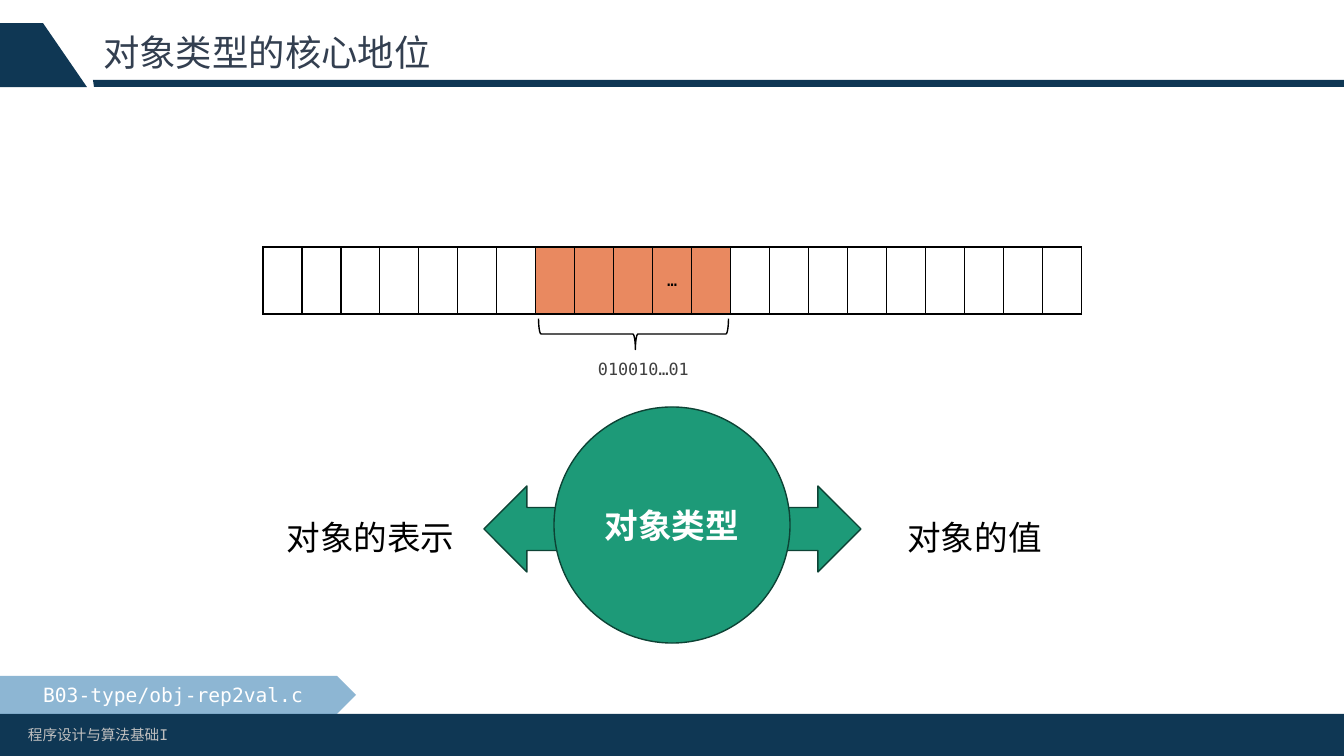
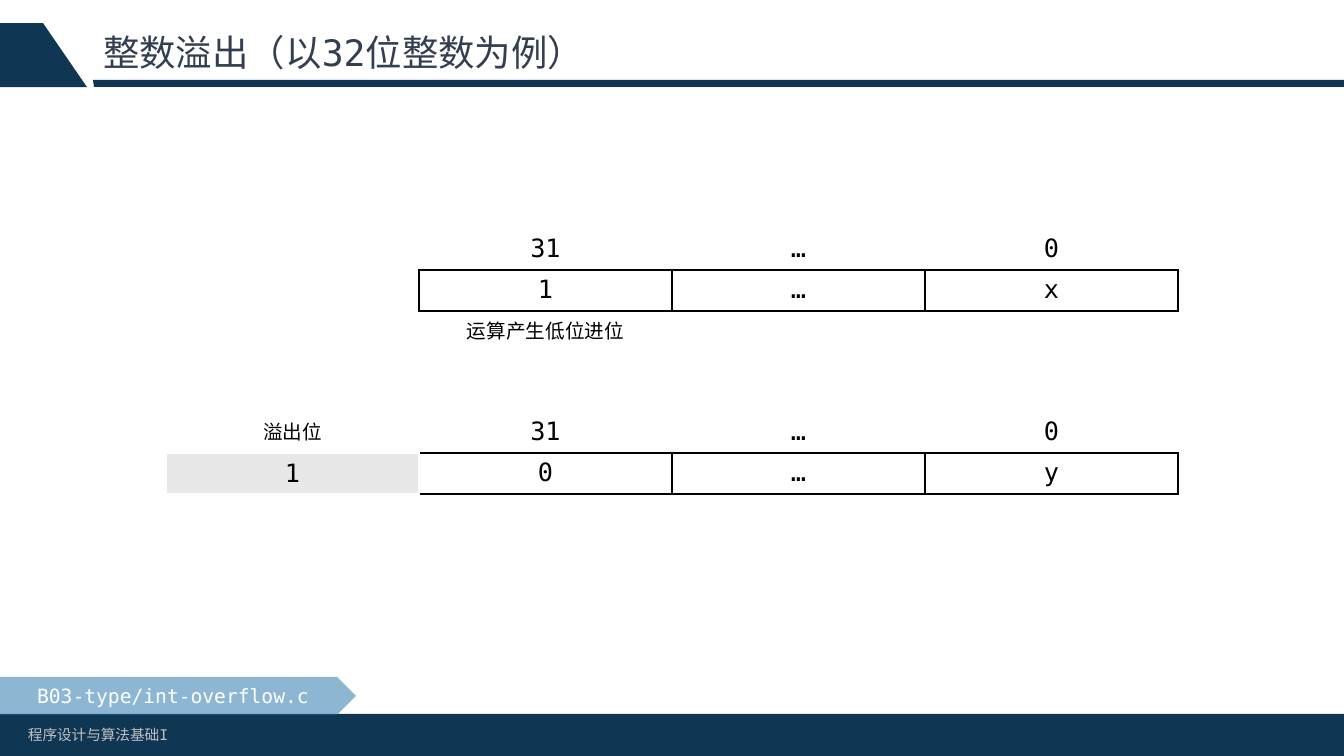
from lxml.etree import SubElement
from pptx import Presentation
from pptx.dml.color import RGBColor
from pptx.enum.shapes import MSO_SHAPE
from pptx.enum.text import MSO_ANCHOR, MSO_AUTO_SIZE, PP_ALIGN
from pptx.oxml import parse_xml
from pptx.oxml.ns import nsdecls, qn
from pptx.util import Pt

PX = 914400 / 100.8  # EMU per px
SLIDE_W, SLIDE_H = 1344, 756

NAVY = RGBColor(0x0F, 0x37, 0x54)
SLATE = RGBColor(0x33, 0x3F, 0x50)
SILVER = RGBColor(0xBF, 0xBF, 0xBF)
CHARCOAL = RGBColor(0x40, 0x40, 0x40)
BLACK = RGBColor(0, 0, 0)
WHITE = RGBColor(0xFF, 0xFF, 0xFF)
ORANGE = RGBColor(0xE9, 0x89, 0x60)
GREEN = RGBColor(0x1D, 0x9A, 0x78)
DARK_GREEN = RGBColor(0x0D, 0x43, 0x35)
BLUE = RGBColor(0x1D, 0x6F, 0xA9)
PALE_GRAY = RGBColor(0xE7, 0xE7, 0xE7)
MONO, SANS = "DejaVu Sans Mono", "Noto Sans CJK SC"

# Content
COURSE = "程序设计与算法基础I"
BAND = [(93, 80), (1344, 80), (1344, 87), (94, 87)]
WEDGE = [(43, 23), (87, 87), (0, 87), (0, 23)]

TYPE_TITLE = "对象类型的核心地位"
TYPE_FILE = "B03-type/obj-rep2val.c"
MEMORY_CELLS = [""] * 10 + ["…"] + [""] * 10
OBJECT_CELLS = range(7, 12)
OBJECT_BITS = "010010…01"
TYPE_NAME = "对象类型"
TYPE_SIDES = [("对象的表示", 263), ("对象的值", 867)]

OVERFLOW_TITLE = "整数溢出（以32位整数为例）"
OVERFLOW_FILE = "B03-type/int-overflow.c"
BIT_NUMBERS = ["31", "…", "0"]
INTEGERS = [(229, ["1", "…", "x"]), (412, ["0", "…", "y"])]
CARRY_NOTE = "运算产生低位进位"
OVERFLOW_LABEL, OVERFLOW_BIT = "溢出位", "1"
BITS_X, BIT_W, ROW_H = 419, 253, 41


def emu(*lengths):
    return [round(length * PX) for length in lengths]


def write(frame, text, size=18, font=MONO, color=BLACK, bold=False,
          align=PP_ALIGN.CENTER, anchor=None, spacing=None):
    """Put one formatted paragraph into a text frame or table cell."""
    paragraph = frame.paragraphs[0]
    paragraph.alignment = align
    if spacing:
        paragraph.line_spacing = spacing
    if anchor is not None:
        frame.vertical_anchor = anchor
    run = paragraph.add_run()
    run.text = text
    run.font.size = Pt(size)
    run.font.name = font
    run.font.bold = bold
    run.font.color.rgb = color
    SubElement(run.font._element, qn("a:ea"), typeface=SANS)


def style(shape, fill=None, line=None):
    shape.shadow.inherit = False
    if fill is None:
        shape.fill.background()
    else:
        shape.fill.solid()
        shape.fill.fore_color.rgb = fill
    if line is None:
        shape.line.fill.background()
    else:
        shape.line.color.rgb = line
        shape.line.width = Pt(1)
    return shape


def add_preset(shapes, preset, box, fill=None, line=None):
    return style(shapes.add_shape(preset, *emu(*box)), fill, line)


def add_outline(shapes, points, fill):
    builder = shapes.build_freeform(*points[0], scale=PX)
    builder.add_line_segments(points[1:], close=True)
    return style(builder.convert_to_shape(), fill)


def add_text(shapes, box, text, **text_format):
    label = shapes.add_textbox(*emu(*box))
    label.text_frame.word_wrap = True
    write(label.text_frame, text, **text_format)
    return label


def add_row(shapes, x, y, cell_w, height, texts, border=None, fills=None,
            **text_format):
    """Add a one-row table; fills maps cell numbers to colours."""
    table = shapes.add_table(
        1, len(texts), *emu(x, y, cell_w * len(texts), height)).table
    table.first_row = table.horz_banding = False
    table.rows[0].height = emu(height)[0]
    paint = (f'<a:solidFill><a:srgbClr val="{border}"/></a:solidFill>'
             if border is not None else "<a:noFill/>")
    for number, text in enumerate(texts):
        table.columns[number].width = emu(cell_w)[0]
        cell = table.cell(0, number)
        if fills and number in fills:
            cell.fill.solid()
            cell.fill.fore_color.rgb = fills[number]
        else:
            cell.fill.background()
        if text:
            cell_frame = cell.text_frame
            anchor = text_format.get("anchor")
            if anchor is not None:
                cell.vertical_anchor = anchor
            write(cell_frame, text,
                  **{k: v for k, v in text_format.items() if k != "anchor"})
        properties = cell._tc.get_or_add_tcPr()
        for position, side in enumerate("LRTB"):
            properties.insert(position, parse_xml(
                f'<a:ln{side} {nsdecls("a")} w="12700">{paint}</a:ln{side}>'))


def decorate_layout(layout, slide):
    """Draw the shared parts, then hand them to the layout."""
    for placeholder in list(layout.placeholders):
        if placeholder.placeholder_format.idx:
            placeholder._element.getparent().remove(placeholder._element)
    title = layout.placeholders[0]
    title.left, title.top, title.width, title.height = emu(93, 23, 1159, 64)
    shapes = slide.shapes
    shared = [
        add_outline(shapes, BAND, NAVY),
        add_outline(shapes, WEDGE, NAVY),
        add_preset(shapes, MSO_SHAPE.RECTANGLE,
                   (0, 714, SLIDE_W, SLIDE_H - 714), NAVY),
        add_text(shapes, (18, 721, 435, 29), COURSE, size=10.5,
                 color=SILVER, align=PP_ALIGN.LEFT),
    ]
    for number, part in enumerate(shared, 20):
        part._element.nvSpPr.cNvPr.set("id", str(number))
        layout.shapes._spTree.append(part._element)


def add_title(slide, text):
    frame = slide.shapes.title.text_frame
    frame.auto_size = MSO_AUTO_SIZE.NONE
    write(frame, text, size=26, color=SLATE, align=PP_ALIGN.LEFT,
          anchor=MSO_ANCHOR.MIDDLE, spacing=0.9)


def add_file_tag(slide, text, top):
    tag = add_preset(slide.shapes, MSO_SHAPE.PENTAGON, (0, top, 356, 38), BLUE)
    color = tag.fill._xPr.find(qn("a:solidFill"))[0]
    SubElement(color, qn("a:alpha"), val="50000")
    write(tag.text_frame, text, size=14, color=WHITE,
          anchor=MSO_ANCHOR.MIDDLE)


def build_type_slide(slide):
    shapes = slide.shapes
    add_title(slide, TYPE_TITLE)
    # Memory cells and the bits of the object
    add_row(shapes, 263, 247, 39, 67, MEMORY_CELLS, border=BLACK,
            fills=dict.fromkeys(OBJECT_CELLS, ORANGE), size=12,
            anchor=MSO_ANCHOR.MIDDLE)
    brace = add_preset(shapes, MSO_SHAPE.RIGHT_BRACE, (618, 239, 31, 190),
                       line=BLACK)
    brace.rotation = 90
    brace.adjustments[1] = 0.49
    add_text(shapes, (485, 354, 317, 31), OBJECT_BITS, size=12, color=CHARCOAL)
    # The type between representation and value
    for side, x in TYPE_SIDES:
        add_text(shapes, (x, 492, 215, 64), side, size=24, font=SANS,
                 spacing=1.5)
    hub = shapes.add_group_shape().shapes
    add_preset(hub, MSO_SHAPE.LEFT_RIGHT_ARROW, (484, 486, 377, 86),
               GREEN, DARK_GREEN)
    circle = add_preset(hub, MSO_SHAPE.OVAL, (554, 407, 236, 236),
                        GREEN, DARK_GREEN)
    write(circle.text_frame, TYPE_NAME, size=24, font=SANS, color=WHITE,
          bold=True, anchor=MSO_ANCHOR.MIDDLE)
    add_file_tag(slide, TYPE_FILE, 676)


def build_overflow_slide(slide):
    shapes = slide.shapes
    add_title(slide, OVERFLOW_TITLE)
    # Integers before and after the carry
    for top, bits in INTEGERS:
        add_row(shapes, BITS_X, top + ROW_H, BIT_W, ROW_H, bits, border=BLACK)
        add_row(shapes, BITS_X, top, BIT_W, ROW_H, BIT_NUMBERS)
    before, after = (top for top, _ in INTEGERS)
    add_row(shapes, BITS_X, before + 2 * ROW_H, BIT_W, ROW_H, [CARRY_NOTE],
            size=14)
    # Overflow bit, left of the highest bit
    overflow_x = BITS_X - BIT_W
    add_row(shapes, overflow_x, after + ROW_H, BIT_W, ROW_H, [OVERFLOW_BIT],
            border=WHITE, fills={0: PALE_GRAY}, anchor=MSO_ANCHOR.MIDDLE)
    add_row(shapes, overflow_x, after, BIT_W, ROW_H, [OVERFLOW_LABEL], size=14)
    add_file_tag(slide, OVERFLOW_FILE, 677)


def main():
    deck = Presentation()
    deck.slide_width, deck.slide_height = emu(SLIDE_W, SLIDE_H)
    layout = deck.slide_layouts[5]
    type_slide, overflow_slide = (deck.slides.add_slide(layout)
                                  for _ in range(2))
    decorate_layout(layout, type_slide)
    build_type_slide(type_slide)
    build_overflow_slide(overflow_slide)
    deck.save("out.pptx")


if __name__ == "__main__":
    main()
